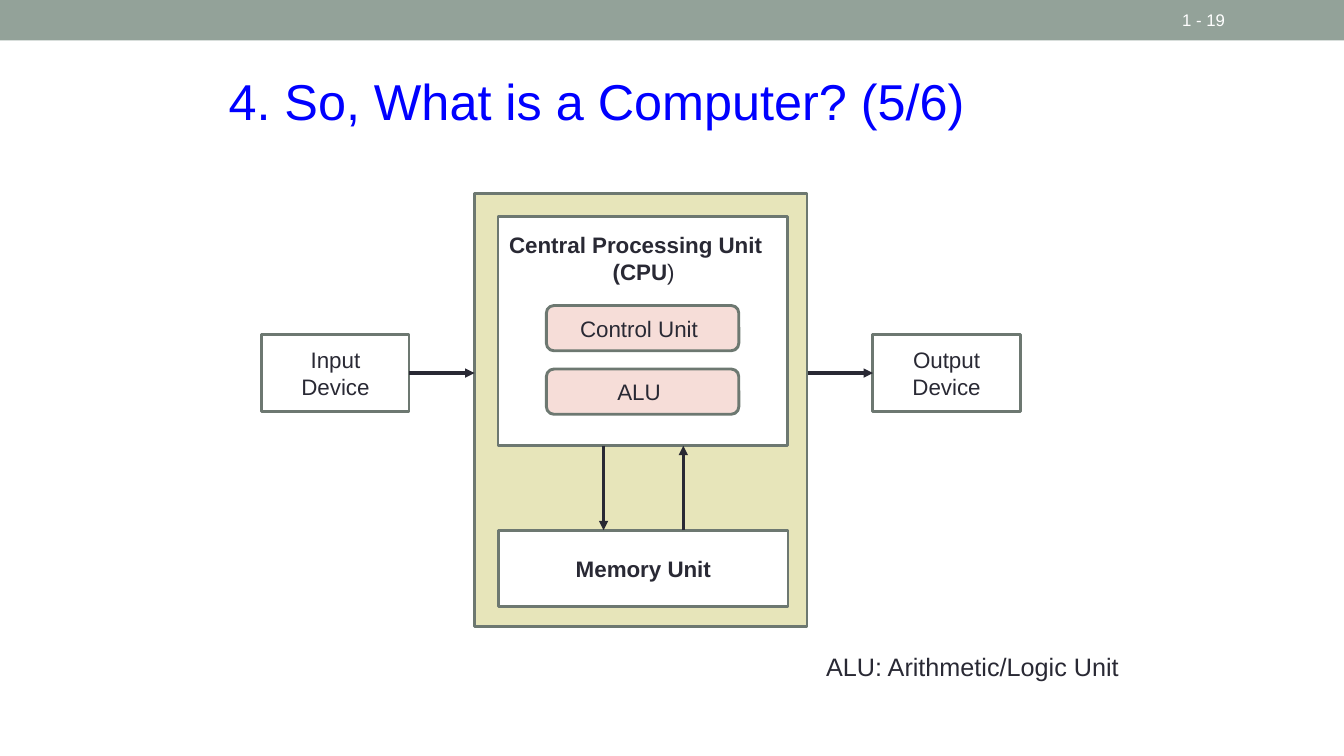
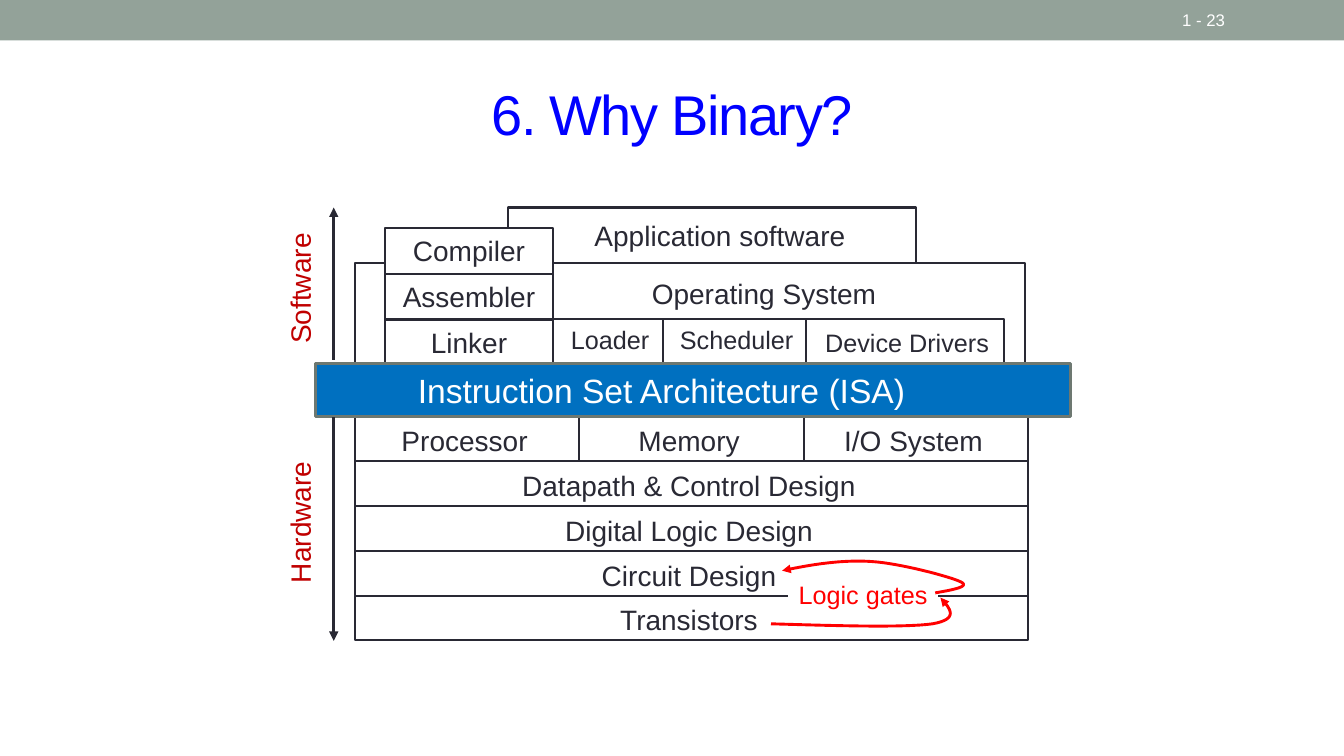
from dataclasses import dataclass
from itertools import accumulate

from lxml import etree
from pptx import Presentation
from pptx.dml.color import RGBColor
from pptx.enum.shapes import MSO_CONNECTOR, MSO_SHAPE
from pptx.enum.text import MSO_ANCHOR, PP_ALIGN
from pptx.oxml.ns import qn
from pptx.util import Cm, Pt

RECT, ROUNDED = MSO_SHAPE.RECTANGLE, MSO_SHAPE.ROUNDED_RECTANGLE
STRAIGHT = MSO_CONNECTOR.STRAIGHT
LEFT, CENTER = PP_ALIGN.LEFT, PP_ALIGN.CENTER
TOP, MIDDLE = MSO_ANCHOR.TOP, MSO_ANCHOR.MIDDLE

COLORS = {
    "band": "93A299", "title": "0000FF", "ink": "292934", "white": "FFFFFF",
    "frame": "6D7871", "machine": "E7E5BA", "unit": "F6DDD8",
    "isa": "0070C0", "side": "C00000", "gates": "FF0000",
}
CURVE_STEPS = 16

Point = tuple[float, float]


@dataclass(frozen=True)
class TextStyle:
    size: float
    color: str = "ink"
    bold: bool = False
    align: PP_ALIGN = CENTER
    spacing: int = 0


@dataclass(frozen=True)
class Box:
    """A block in cm; dx and dy move its label off the centre."""
    left: float
    top: float
    width: float
    height: float
    label: str = ""
    style: TextStyle = TextStyle(20)
    fill: str = "white"
    line: str | None = "ink"
    weight: float = 1.5
    dx: float = 0
    dy: float = 0
    geometry: MSO_SHAPE = RECT


@dataclass(frozen=True)
class Arrow:
    start: Point
    end: Point


def rgb(name: str) -> RGBColor:
    return RGBColor.from_string(COLORS[name])


def add_run(paragraph, text: str, style: TextStyle) -> None:
    paragraph.alignment = style.align
    run = paragraph.add_run()
    run.text = text
    formats = {"name": "Arial", "size": Pt(style.size), "bold": style.bold}
    for attribute, value in formats.items():
        setattr(run.font, attribute, value)
    run.font.color.rgb = rgb(style.color)
    if style.spacing:
        run.font._element.set("spc", str(style.spacing))


def set_frame(frame, anchor: MSO_ANCHOR, left: float, top: float,
              right: float, bottom: float) -> None:
    formats = {
        "word_wrap": True, "vertical_anchor": anchor,
        "margin_left": Cm(left), "margin_top": Cm(top),
        "margin_right": Cm(right), "margin_bottom": Cm(bottom),
    }
    for attribute, value in formats.items():
        setattr(frame, attribute, value)


def draw_box(slide, box: Box):
    shape = slide.shapes.add_shape(
        box.geometry, Cm(box.left), Cm(box.top), Cm(box.width), Cm(box.height))
    shape.shadow.inherit = False
    shape.fill.solid()
    shape.fill.fore_color.rgb = rgb(box.fill)
    if box.line:
        shape.line.color.rgb = rgb(box.line)
        shape.line.width = Pt(box.weight)
    else:
        shape.line.fill.background()
    if box.label:
        set_frame(shape.text_frame, MIDDLE,
                  max(0, 2 * box.dx), max(0, 2 * box.dy),
                  max(0, -2 * box.dx), max(0, -2 * box.dy))
        lines = box.label.split("\n")
        for index, line in enumerate(lines):
            frame = shape.text_frame
            paragraph = frame.add_paragraph() if index else frame.paragraphs[0]
            add_run(paragraph, line, box.style)
    return shape


def draw_text(slide, text: str, left: float, top: float, width: float,
              height: float, style: TextStyle, anchor: MSO_ANCHOR = TOP,
              rotation: float = 0) -> None:
    area = slide.shapes.add_textbox(Cm(left), Cm(top), Cm(width), Cm(height))
    area.rotation = rotation
    set_frame(area.text_frame, anchor, 0.25, 0.13, 0.25, 0.13)
    add_run(area.text_frame.paragraphs[0], text, style)


def finish_arrow(shape, color: str, weight: float) -> None:
    shape.line.color.rgb = rgb(color)
    shape.line.width = Pt(weight)
    outline = shape._element.spPr.find(qn("a:ln"))
    etree.SubElement(outline, qn("a:tailEnd"), type="triangle")


def draw_arrow(slide, arrow: Arrow) -> None:
    ends = [Cm(value) for value in (*arrow.start, *arrow.end)]
    connector = slide.shapes.add_connector(STRAIGHT, *ends)
    finish_arrow(connector, "ink", 2.25)
    etree.SubElement(connector._element.spPr, qn("a:effectLst"))


def bezier(a: Point, b: Point, c: Point, d: Point, t: float) -> Point:
    weights = ((1 - t) ** 3, 3 * t * (1 - t) ** 2, 3 * t * t * (1 - t), t ** 3)
    x, y = (sum(w * p[axis] for w, p in zip(weights, (a, b, c, d)))
            for axis in (0, 1))
    return x, y


def draw_curved_arrow(slide, knots: list[Point]) -> None:
    """Draw chained cubic curves: a start, then three points for each."""
    points = [
        bezier(*knots[first:first + 4], step / CURVE_STEPS)
        for first in range(0, len(knots) - 1, 3)
        for step in range(1, CURVE_STEPS + 1)
    ]
    builder = slide.shapes.build_freeform(Cm(knots[0][0]), Cm(knots[0][1]))
    builder.add_line_segments([(Cm(x), Cm(y)) for x, y in points], close=False)
    curve = builder.convert_to_shape()
    curve.shadow.inherit = False
    curve.fill.background()
    finish_arrow(curve, "gates", 2.08)


def start_slide(deck, page: str):
    slide = deck.slides.add_slide(deck.slide_layouts[6])
    draw_box(slide, Box(0, 0, 33.87, 1.02, fill="band", line=None))
    draw_text(slide, page, 29.54, 0.05, 2.64, 0.91,
              TextStyle(12, "white", align=LEFT), MIDDLE)
    return slide


def build_computer(deck) -> None:
    slide = start_slide(deck, "1 - 19")
    draw_text(slide, "4. So, What is a Computer? (5/6)", 5.51, 1.63, 23.6, 1.8,
              TextStyle(36, "title", align=LEFT))

    framed = {"line": "frame", "weight": 2.08}
    plain, strong = TextStyle(16), TextStyle(16, bold=True)
    draw_box(slide, Box(11.96, 4.88, 8.38, 10.9, fill="machine", **framed))

    cpu = draw_box(slide, Box(12.55, 5.46, 7.29, 5.77, **framed)).text_frame
    set_frame(cpu, TOP, 0.28, 0.36, 0.23, 0)
    add_run(cpu.paragraphs[0], "Central Processing Unit",
            TextStyle(16, bold=True, align=LEFT))
    abbreviation = cpu.add_paragraph()
    add_run(abbreviation, "(CPU", strong)
    add_run(abbreviation, ")", plain)

    for row, unit in enumerate(("Control Unit", "ALU")):
        draw_box(slide, Box(13.77, 7.7 + 1.6 * row, 4.85, 1.14, unit, plain,
                            fill="unit", dx=-0.09, geometry=ROUNDED, **framed))
    draw_box(slide, Box(12.57, 13.36, 7.29, 1.93, "Memory Unit", strong,
                        **framed))
    for left, device in ((6.6, "Input\nDevice"), (22, "Output\nDevice")):
        draw_box(slide, Box(left, 8.43, 3.71, 1.93, device, plain, **framed))

    for arrow in (
        Arrow((17.22, 13.36), (17.22, 11.23)),
        Arrow((15.21, 11.23), (15.21, 13.36)),
        Arrow((10.31, 9.4), (11.96, 9.4)),
        Arrow((20.35, 9.4), (22, 9.4)),
    ):
        draw_arrow(slide, arrow)
    draw_text(slide, "ALU: Arithmetic/Logic Unit", 20.57, 16.28, 8.2, 1.02,
              TextStyle(18, align=LEFT))


def software_boxes() -> list[Box]:
    boxes = [
        Box(12.8, 5.23, 10.29, 1.4, "Application software", dx=0.2),
        Box(8.94, 6.63, 16.89, 2.57, "Operating System", dx=1.87, dy=-0.52),
    ]
    tools = ("Compiler", "Assembler", "Linker")
    boxes += [Box(9.7, 5.74 + 1.155 * row, 4.24, 1.155, tool)
              for row, tool in enumerate(tools)]
    modules = {"Loader": 2.77, "Scheduler": 3.61, "Device Drivers": 4.98}
    lefts = accumulate(modules.values(), initial=13.94)
    boxes += [Box(left, 8.05, width, 1.15, module, TextStyle(18), dx=0.05,
                  dy=0 if module == "Device Drivers" else -0.06)
              for left, (module, width) in zip(lefts, modules.items())]
    return boxes


def hardware_boxes() -> list[Box]:
    left, top, width, pitch = 8.94, 10.49, 16.97, 1.13
    rows = (
        ("Processor", "Memory", "I/O System"),
        ("Datapath & Control Design",),
        ("Digital Logic Design",),
        ("Circuit Design",),
        ("Transistors",),
    )
    return [
        Box(left + column * width / len(row), top + pitch * level,
            width / len(row), pitch, part, dx=-0.06, dy=0.04)
        for level, row in enumerate(rows)
        for column, part in enumerate(row)
    ]


def build_binary(deck) -> None:
    slide = start_slide(deck, "1 - 23")
    draw_text(slide, "6. Why Binary?", 1.7, 1.47, 30.48, 2.74,
              TextStyle(40, "title", spacing=-100), MIDDLE)
    for box in software_boxes() + hardware_boxes():
        draw_box(slide, box)
    for side, top in (("Software", 6.71), ("Hardware", 12.6)):
        draw_text(slide, side, 5.64, top, 3.84, 1.12, TextStyle(20, "side"),
                  rotation=270)
    draw_box(slide, Box(7.95, 9.17, 19.02, 1.32,
                        "Instruction Set Architecture (ISA)",
                        TextStyle(24, "white", align=LEFT), "isa", "frame",
                        2.08, dx=1.29))
    draw_arrow(slide, Arrow((8.41, 9.07), (8.41, 5.23)))
    draw_arrow(slide, Arrow((8.41, 10.52), (8.41, 16.15)))

    draw_box(slide, Box(19.86, 14.48, 3.78, 1.02, "Logic gates",
                        TextStyle(18, "gates"), line=None))
    draw_curved_arrow(slide, [
        (19.43, 15.72), (21.11, 15.77), (22.78, 15.82), (23.5, 15.72),
        (24.18, 15.6), (23.95, 15.34), (23.7, 15.06)])
    draw_curved_arrow(slide, [
        (23.57, 14.94), (24.03, 14.86), (24.46, 14.78), (24.21, 14.66),
        (23.93, 14.53), (22.71, 14.2), (21.97, 14.15),
        (21.23, 14.1), (20.47, 14.22), (19.71, 14.38)])


def main() -> None:
    deck = Presentation()
    deck.slide_width, deck.slide_height = Cm(33.87), Cm(19.05)
    build_computer(deck)
    build_binary(deck)
    deck.save("out.pptx")


if __name__ == "__main__":
    main()
